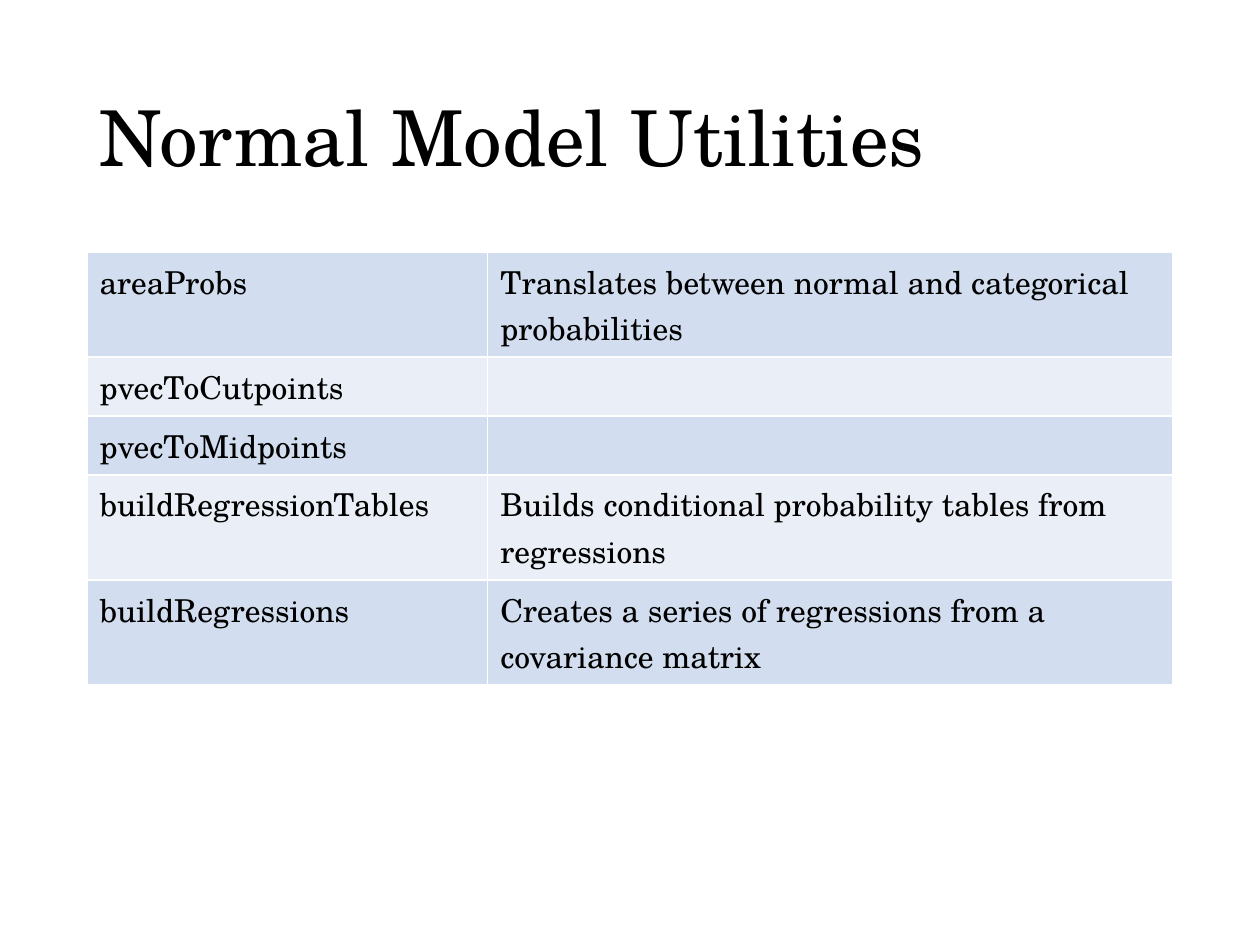
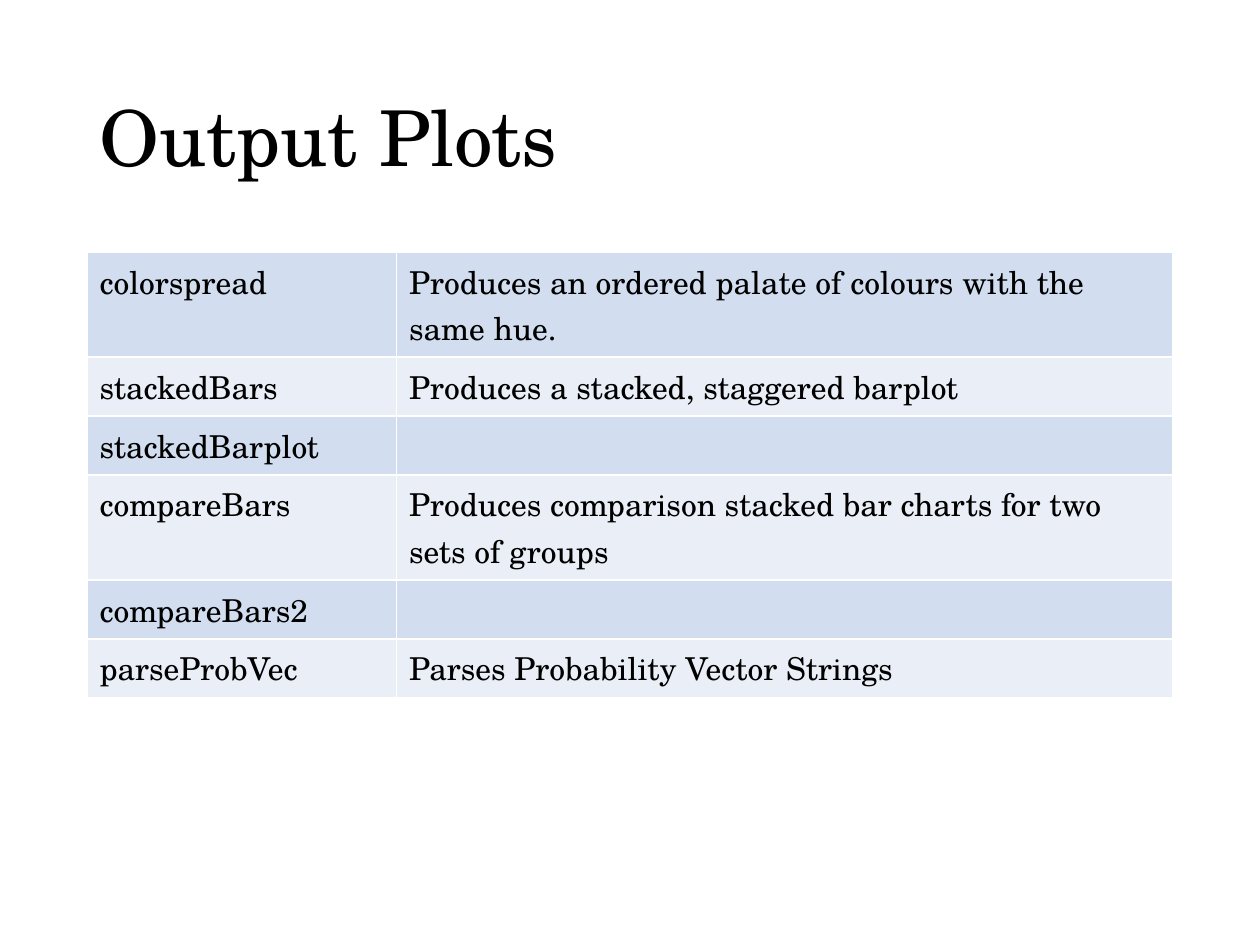
from lxml import etree
from pptx import Presentation
from pptx.dml.color import RGBColor
from pptx.enum.text import MSO_ANCHOR, MSO_AUTO_SIZE, PP_ALIGN
from pptx.oxml.ns import qn
from pptx.util import Inches, Pt

LEFT = PP_ALIGN.LEFT
MIDDLE = MSO_ANCHOR.MIDDLE
NO_AUTOFIT = MSO_AUTO_SIZE.NONE

FONT = "TeX Gyre Schola"
BLACK = RGBColor(0x00, 0x00, 0x00)
WHITE = RGBColor(0xFF, 0xFF, 0xFF)
BANDS = (RGBColor(0xD2, 0xDE, 0xEF), RGBColor(0xEA, 0xEF, 0xF7))

TITLE_ONLY = 5
SLIDE_W, SLIDE_H = Inches(10), Inches(7.5)
MARGIN = Inches(0.69)
CONTENT_W = SLIDE_W - 2 * MARGIN
TITLE_TOP, TITLE_H = Inches(0.4), Inches(1.45)
TABLE_TOP, ROW_H = Inches(2), Inches(0.41)

# Title, share of the width for the function names, rows of name and purpose
SLIDES = [
    ("Normal Model Utilities", 0.369, [
        ("areaProbs", "Translates between normal and categorical probabilities"),
        ("pvecToCutpoints", ""),
        ("pvecToMidpoints", ""),
        ("buildRegressionTables",
         "Builds conditional probability tables from regressions"),
        ("buildRegressions",
         "Creates a series of regressions from a covariance matrix"),
    ]),
    ("Output Plots", 0.285, [
        ("colorspread",
         "Produces an ordered palate of colours with the same hue."),
        ("stackedBars", "Produces a stacked, staggered barplot"),
        ("stackedBarplot", ""),
        ("compareBars",
         "Produces comparison stacked bar charts for two sets of groups"),
        ("compareBars2", ""),
        ("parseProbVec", "Parses Probability Vector Strings"),
    ]),
]


def write(tf, text, size=18, color=BLACK, spacing=None):
    p = tf.paragraphs[0]
    p.alignment = LEFT
    if spacing:
        p.line_spacing = spacing
    if text:
        r = p.add_run()
        r.text = text
        r.font.name = FONT
        r.font.size = Pt(size)
        r.font.color.rgb = color


def set_borders(cell, color=WHITE, width=1):
    """Draw all four sides; call before the fill, which must follow in the XML."""
    tc_pr = cell._tc.get_or_add_tcPr()
    for side in ("a:lnL", "a:lnR", "a:lnT", "a:lnB"):
        ln = etree.SubElement(tc_pr, qn(side), w=str(Pt(width)))
        fill = etree.SubElement(ln, qn("a:solidFill"))
        etree.SubElement(fill, qn("a:srgbClr"), val=str(color))


def add_title(s, text):
    sp = s.shapes.title
    sp.left, sp.top, sp.width, sp.height = MARGIN, TITLE_TOP, CONTENT_W, TITLE_H
    tf = sp.text_frame
    tf.auto_size = NO_AUTOFIT
    tf.word_wrap = True
    tf.vertical_anchor = MIDDLE
    write(tf, text, size=44, spacing=0.9)


def add_function_table(s, rows, name_share):
    table = s.shapes.add_table(len(rows), 2, MARGIN, TABLE_TOP,
                               CONTENT_W, ROW_H * len(rows)).table
    table.first_row = False
    table.columns[0].width = int(CONTENT_W * name_share)
    table.columns[1].width = CONTENT_W - table.columns[0].width
    for i, texts in enumerate(rows):
        for j, text in enumerate(texts):
            cell = table.cell(i, j)
            set_borders(cell)
            cell.fill.solid()
            cell.fill.fore_color.rgb = BANDS[i % 2]
            write(cell.text_frame, text)


def main():
    prs = Presentation()
    prs.slide_width, prs.slide_height = SLIDE_W, SLIDE_H
    for title, name_share, rows in SLIDES:
        s = prs.slides.add_slide(prs.slide_layouts[TITLE_ONLY])
        add_title(s, title)
        add_function_table(s, rows, name_share)
    prs.save("out.pptx")


if __name__ == "__main__":
    main()
